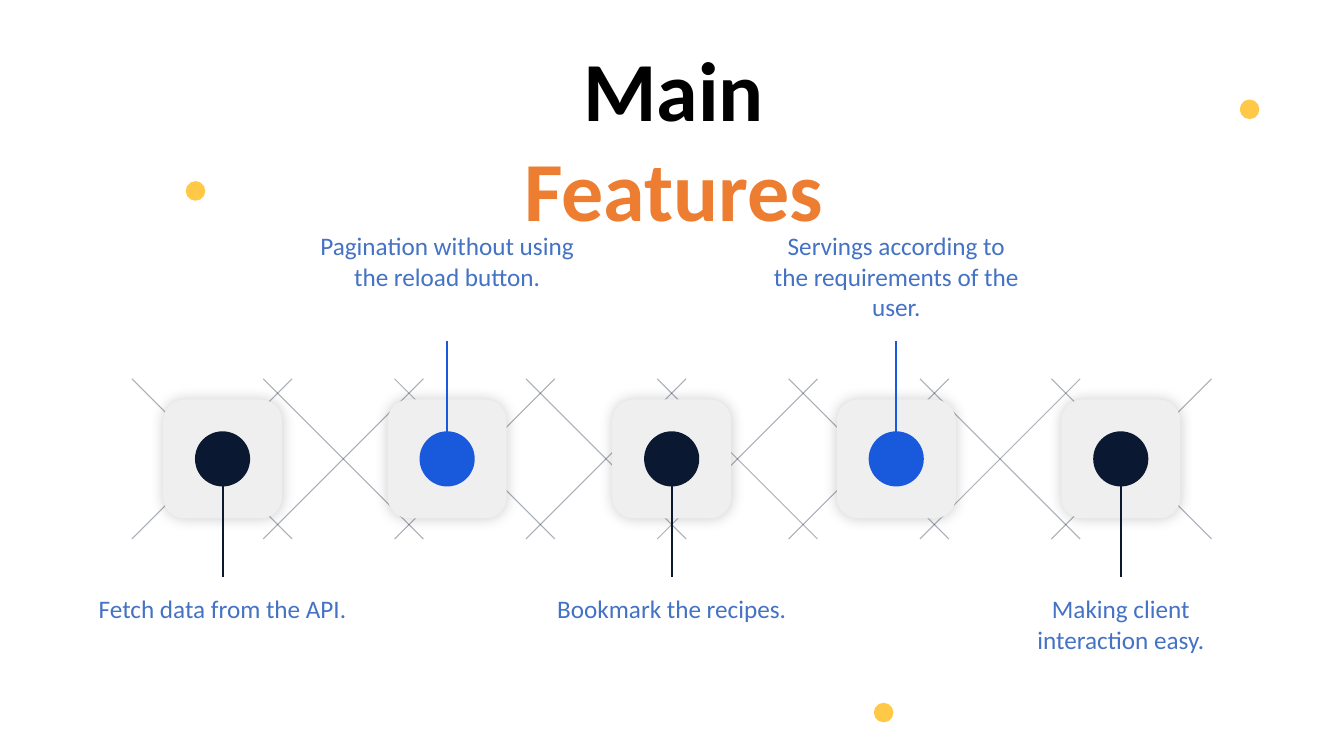
"""Builds the Main Features slide."""
from lxml.etree import SubElement
from pptx import Presentation
from pptx.dml.color import RGBColor
from pptx.enum.shapes import MSO_CONNECTOR, MSO_SHAPE
from pptx.enum.text import PP_ALIGN
from pptx.oxml.ns import qn
from pptx.util import Pt

NAVY = RGBColor(0x0A, 0x19, 0x31)
BLUE = RGBColor(0x18, 0x5A, 0xDB)
GREY = RGBColor(0xEF, 0xEF, 0xEF)
GOLD = RGBColor(0xFF, 0xC9, 0x47)
BLACK = RGBColor(0, 0, 0)
ORANGE = RGBColor(0xED, 0x7D, 0x31)
LABEL = RGBColor(0x44, 0x72, 0xC4)

FEATURES = [
    "Fetch data from the API.",
    "Pagination without using the reload button.",
    "Bookmark the recipes.",
    "Servings according to the requirements of the user.",
    "Making client interaction easy.",
]
DOTS = [(139.7, 136.4), (892.6, 78.1), (631.2, 509)]


def add_text(slide, box, *parts, size=18, bold=False):
    left, top, width, height = box
    frame = slide.shapes.add_textbox(Pt(left), Pt(top), Pt(width), Pt(height)).text_frame
    frame.word_wrap = True
    line = frame.paragraphs[0]
    line.alignment = PP_ALIGN.CENTER
    for words, color in parts:
        run = line.add_run()
        run.text = words
        run.font.name = "Calibri"
        run.font.size = Pt(size)
        run.font.bold = bold
        run.font.color.rgb = color


def add_block(slide, kind, x, y, size, color):
    block = slide.shapes.add_shape(
        kind, Pt(x - size / 2), Pt(y - size / 2), Pt(size), Pt(size))
    block.shadow.inherit = False
    block.fill.solid()
    block.fill.fore_color.rgb = color
    block.line.fill.background()
    return block


def add_line(slide, start, end, color, weight):
    line = slide.shapes.add_connector(
        MSO_CONNECTOR.STRAIGHT, *(Pt(place) for place in (*start, *end)))
    line.line.color.rgb = color
    line.line.width = Pt(weight)
    SubElement(line._element.spPr, qn("a:effectLst"))
    return line


def set_alpha(parent, percent):
    color = next(parent.iter(qn("a:srgbClr")))
    SubElement(color, qn("a:alpha"), val=str(percent * 1000))


def add_glow(block):
    effects = block._element.spPr.find(qn("a:effectLst"))
    shadow = SubElement(effects, qn("a:outerShdw"), blurRad=str(Pt(10)),
                        dist="0", dir="0", algn="ctr", rotWithShape="0")
    SubElement(shadow, qn("a:srgbClr"), val="000000")
    set_alpha(shadow, 20)


def draw_mesh(slide, box, count=8):
    left, top, width, height = box
    step = (width - height) / (count - 1)
    for index in range(count):
        x = left + index * step
        for start, end in ((x, x + height), (x + height, x)):
            line = add_line(slide, (start, top), (end, top + height), NAVY, 0.75)
            set_alpha(line._element.spPr, 35)


def draw_stop(slide, box, words, rising):
    left, top, width, height = box
    x, y = left + width / 2, top + height / 2
    color = BLUE if rising else NAVY
    tile = add_block(slide, MSO_SHAPE.ROUNDED_RECTANGLE, x, y, 85, GREY)
    tile.adjustments[0] = 0.18
    add_glow(tile)
    add_block(slide, MSO_SHAPE.OVAL, x, y, 39.4, color)
    add_line(slide, (x, y), (x, y - 84.4 if rising else y + 84.4), color, 1.5)
    place = top if rising else y + 92.7
    add_text(slide, (left, place, width, 51), (words, LABEL))


def draw_row(slide, box):
    left, top, width, height = box
    wide = 195.8
    step = (width - wide) / (len(FEATURES) - 1)
    for index, words in enumerate(FEATURES):
        stop = (left + index * step, top, wide, height)
        draw_stop(slide, stop, words, index % 2 == 1)


def main():
    deck = Presentation()
    deck.slide_width, deck.slide_height = Pt(960), Pt(540)
    slide = deck.slides.add_slide(deck.slide_layouts[6])
    draw_mesh(slide, (94.2, 270.6, 771.2, 114.4))
    draw_row(slide, (61.1, 161.3, 837.4, 333))
    add_text(slide, (303.1, 23, 356.4, 80), ("Main ", BLACK),
             ("Features", ORANGE), size=60, bold=True)
    for x, y in DOTS:
        add_block(slide, MSO_SHAPE.OVAL, x, y, 14, GOLD)
    deck.save("out.pptx")


if __name__ == "__main__":
    main()
